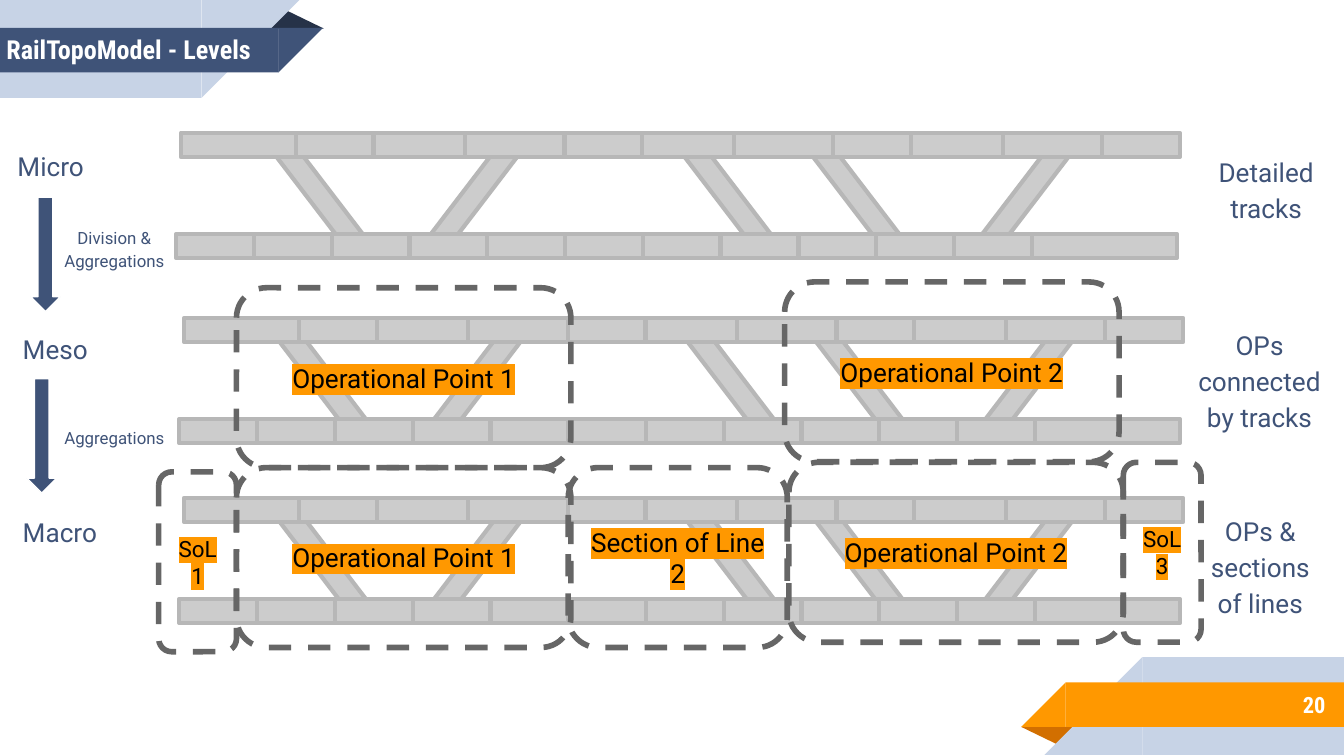
from itertools import accumulate
from lxml.etree import SubElement
from pptx import Presentation
from pptx.dml.color import RGBColor
from pptx.enum.dml import MSO_LINE
from pptx.enum.shapes import MSO_SHAPE
from pptx.enum.text import MSO_ANCHOR, PP_ALIGN
from pptx.oxml.ns import qn
from pptx.util import Cm, Pt

COLORS = {"navy": "3F5378", "dark": "263248", "pale": "C7D3E6", "orange": "FF9800",
          "rust": "D26F00", "track": "CCCCCC", "edge": "B7B7B7", "dash": "666666",
          "white": "FFFFFF", "black": "000000"}
RECT, WEDGE, FOLD = MSO_SHAPE.RECTANGLE, MSO_SHAPE.RIGHT_TRIANGLE, MSO_SHAPE.ISOSCELES_TRIANGLE
LEFT, MID, RIGHT = PP_ALIGN.LEFT, PP_ALIGN.CENTER, PP_ALIGN.RIGHT

# Content: all lengths in cm, boxes as (left, top, width, height)
TITLE = ("RailTopoModel - Levels", (-0.13, 0.36, 6.93, 1.14))
PAGE = ("20", (21.16, 12.88, 4.14, 0.89))
RIBBONS = [  # kind, box, colour, rotation
    (FOLD, (19.3, 13.74, 1.09, 0.36), "rust", 180),
    (RECT, (21.59, 12.42, 3.81, 1.85), "pale", 0),
    (WEDGE, (19.74, 12.42, 1.85, 1.85), "pale", 270),
    (RECT, (20.14, 12.9, 5.26, 0.84), "orange", 0),
    (WEDGE, (19.3, 12.9, 0.84, 0.84), "orange", 270),
    (FOLD, (5.03, 0.18, 1.09, 0.36), "dark", 0),
    (RECT, (0, 0, 3.81, 1.85), "pale", 0),
    (WEDGE, (3.81, 0, 1.85, 1.85), "pale", 90),
    (RECT, (0, 0.53, 5.27, 0.84), "navy", 0),
    (WEDGE, (5.26, 0.53, 0.84, 0.84), "navy", 90),
]
LEVELS = [(0, 0), (0.06, 3.5), (0.06, 6.9)]  # offsets of micro, meso, macro
RAILS = [  # left, top, section widths
    (3.42, 2.51, [2.17] + [1.47, 1.73, 1.88] * 3 + [1.47]),
    (3.33, 4.42, [1.47] * 11 + [2.74]),
]
LINKS = [(14.99, 3.53, 52.6), (18.19, 3.45, -52.6), (4.85, 3.53, 52.6),
         (12.5, 3.45, 52.6), (7.77, 3.45, -52.6)]
LABELS = [  # text, box, size, alignment
    ("Micro", (0.08, 2.51, 2.18, 1.12), 14, LEFT),
    ("Meso", (0.18, 5.97, 2.18, 1.12), 14, LEFT),
    ("Macro", (0.18, 9.42, 2.18, 1.12), 14, LEFT),
    ("Division & Aggregations", (0.84, 3.99, 2.64, 1.35), 9, MID),
    ("Aggregations", (0.84, 7.8, 2.64, 0.89), 9, MID),
    ("Detailed tracks", (22.56, 2.62, 2.74, 1.8), 14, MID),
    ("OPs connected by tracks", (22.33, 5.89, 2.95, 2.49), 14, MID),
    ("OPs & sections of lines", (22.45, 9.4, 2.74, 2.49), 14, MID),
]
ARROWS = [(0.58, 3.73), (0.51, 7.16)]
ZONES = [  # text, left, top, width, size
    ("Operational Point 1", 4.47, 5.44, 6.32, 14),
    ("Operational Point 2", 14.83, 5.33, 6.32, 14),
    ("Operational Point 1", 4.47, 8.84, 6.32, 14),
    ("Operational Point 2", 14.91, 8.74, 6.32, 14),
    ("Section of Line 2", 10.74, 8.84, 4.14, 14),
    ("SoL1", 3, 8.92, 1.47, 12),
    ("SoL3", 21.23, 8.74, 1.47, 12),
]

deck = Presentation()
deck.slide_width, deck.slide_height = Cm(25.4), Cm(14.29)
slide = deck.slides.add_slide(deck.slide_layouts[5])
shapes = slide.shapes


def rgb(name):
    return RGBColor.from_string(COLORS[name])


def draw(kind, box, fill=None, line=None, width=0.75, turn=0):
    shape = shapes.add_shape(kind, *map(Cm, box))
    shape.shadow.inherit = False
    shape.rotation = turn
    if fill:
        shape.fill.solid()
        shape.fill.fore_color.rgb = rgb(fill)
    else:
        shape.fill.background()
    if line:
        shape.line.color.rgb = rgb(line)
        shape.line.width = Pt(width)
    else:
        shape.line.fill.background()
    return shape


def write(shape, text, size, color, align=LEFT, font="Roboto", bold=False,
          anchor=MSO_ANCHOR.MIDDLE, gap=1.0):
    frame = shape.text_frame
    frame.text = text
    frame.word_wrap = True
    frame.vertical_anchor = anchor
    frame.margin_left = frame.margin_right = Cm(0.25)
    frame.margin_top = frame.margin_bottom = Cm(0.25)
    para = frame.paragraphs[0]
    para.alignment, para.line_spacing = align, gap
    para.font.name, para.font.size, para.font.bold = font, Pt(size), bold
    para.font.color.rgb = rgb(color)
    return para


def mark(para, color):
    props = para.runs[0].font._element
    light = SubElement(props, qn("a:highlight"))
    SubElement(light, qn("a:srgbClr"), val=COLORS[color])


# Corner ribbons
for kind, box, color, turn in RIBBONS:
    part = draw(kind, box, color, turn=turn)
    if kind == FOLD:
        part.adjustments[0] = 0.32

# Title, brought in front of the ribbon, and page number
title = shapes.title
title.left, title.top, title.width, title.height = map(Cm, TITLE[1])
write(title, TITLE[0], 14, "white", font="Roboto Condensed", bold=True)
shapes._spTree.append(title._element)
page = shapes.add_textbox(*map(Cm, PAGE[1]))
write(page, PAGE[0], 12, "white", RIGHT, "Roboto Condensed", True)

# Track network, once per level
for dx, dy in LEVELS:
    for x, y, turn in LINKS:
        draw(RECT, (x + dx, y + dy, 2.44, 0.41), "track", "edge", 2.25, turn)
    for x, y, widths in RAILS:
        for start, width in zip(accumulate(widths, initial=x), widths):
            draw(RECT, (start + dx, y + dy, width, 0.46), "track", "edge", 2.25)

# Level names, steps and descriptions
for text, box, size, align in LABELS:
    write(shapes.add_textbox(*map(Cm, box)), text, size, "navy", align,
          anchor=MSO_ANCHOR.TOP, gap=1.15)
for x, y in ARROWS:
    draw(MSO_SHAPE.DOWN_ARROW, (x, y, 0.56, 2.16), "navy", "white")

# Dashed zones
for text, x, y, width, size in ZONES:
    zone = draw(MSO_SHAPE.ROUNDED_RECTANGLE, (x, y, width, 3.4), line="dash", width=3)
    zone.line.dash_style = MSO_LINE.DASH
    mark(write(zone, text, size, "black", MID), "orange")

deck.save("out.pptx")
